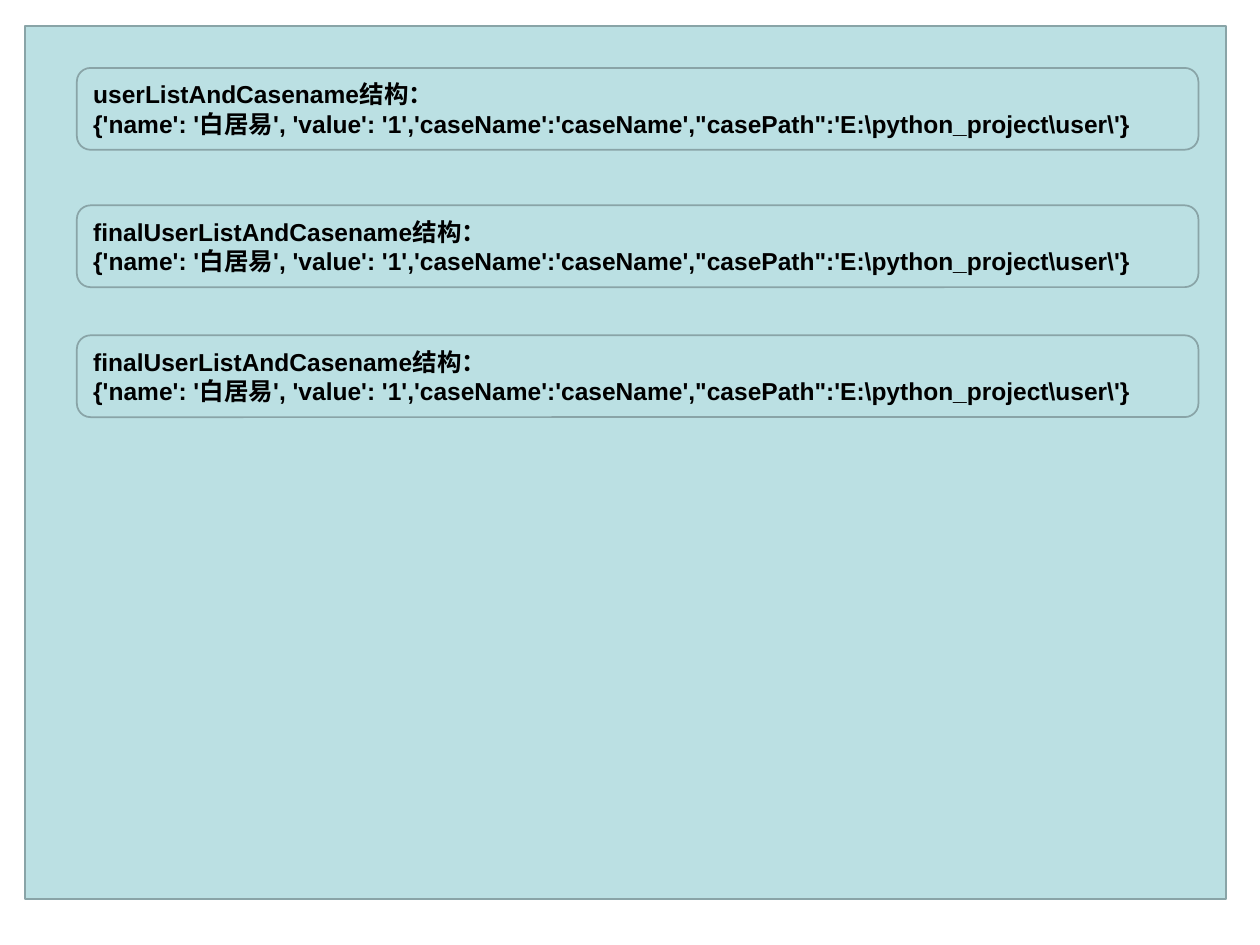
from dataclasses import dataclass

from pptx import Presentation
from pptx.dml.color import RGBColor
from pptx.enum.shapes import MSO_SHAPE
from pptx.enum.text import MSO_ANCHOR, PP_ALIGN
from pptx.util import Cm, Pt

RECTANGLE = MSO_SHAPE.RECTANGLE
ROUNDED = MSO_SHAPE.ROUNDED_RECTANGLE
MIDDLE = MSO_ANCHOR.MIDDLE
LEFT = PP_ALIGN.LEFT

RECORD = r"""{'name': '白居易', 'value': '1','caseName':'caseName',"casePath":'E:\python_project\user\'}"""
STRUCTURES = (
    ("userListAndCasename", 1.37),
    ("finalUserListAndCasename", 4.14),
    ("finalUserListAndCasename", 6.76),
)


@dataclass(frozen=True)
class Theme:
    """Colours and type sizes of the slide."""

    fill: RGBColor = RGBColor(0xBB, 0xE0, 0xE3)
    line: RGBColor = RGBColor(0x89, 0xA4, 0xA7)
    text: RGBColor = RGBColor(0, 0, 0)
    font: str = "Arial"
    size: Pt = Pt(14)
    line_width: Pt = Pt(1)


class SlideBuilder:
    """Draws styled elements on the current slide."""

    def __init__(self, slide, theme):
        self.slide = slide
        self.theme = theme

    def panel(self, left, top, width, height, kind=RECTANGLE):
        """Add a filled and outlined shape, measured in centimetres."""
        lengths = (Cm(value) for value in (left, top, width, height))
        shape = self.slide.shapes.add_shape(kind, *lengths)
        shape.shadow.inherit = False
        shape.fill.solid()
        shape.fill.fore_color.rgb = self.theme.fill
        shape.line.color.rgb = self.theme.line
        shape.line.width = self.theme.line_width
        return shape

    def structure_box(self, lines, left, top, width, height):
        """Add a rounded box with one paragraph per line."""
        box = self.panel(left, top, width, height, ROUNDED)
        frame = box.text_frame
        frame.word_wrap = True
        frame.vertical_anchor = MIDDLE
        frame.text = "\n".join(lines)
        font_format = {"name": self.theme.font, "size": self.theme.size, "bold": True}
        for para in frame.paragraphs:
            para.alignment = LEFT
            for span in para.runs:
                for name, value in font_format.items():
                    setattr(span.font, name, value)
                span.font.color.rgb = self.theme.text


def main():
    """Build and save the deck."""
    deck = Presentation()
    deck.slide_width, deck.slide_height = Cm(25.4), Cm(19.05)
    page = deck.slides.add_slide(deck.slide_layouts[6])
    builder = SlideBuilder(page, Theme())
    builder.panel(0.51, 0.53, 24.21, 17.6)
    for name, top in STRUCTURES:
        builder.structure_box((f"{name}结构：", RECORD), 1.55, top, 22.61, 1.65)
    deck.save("out.pptx")


if __name__ == "__main__":
    main()
